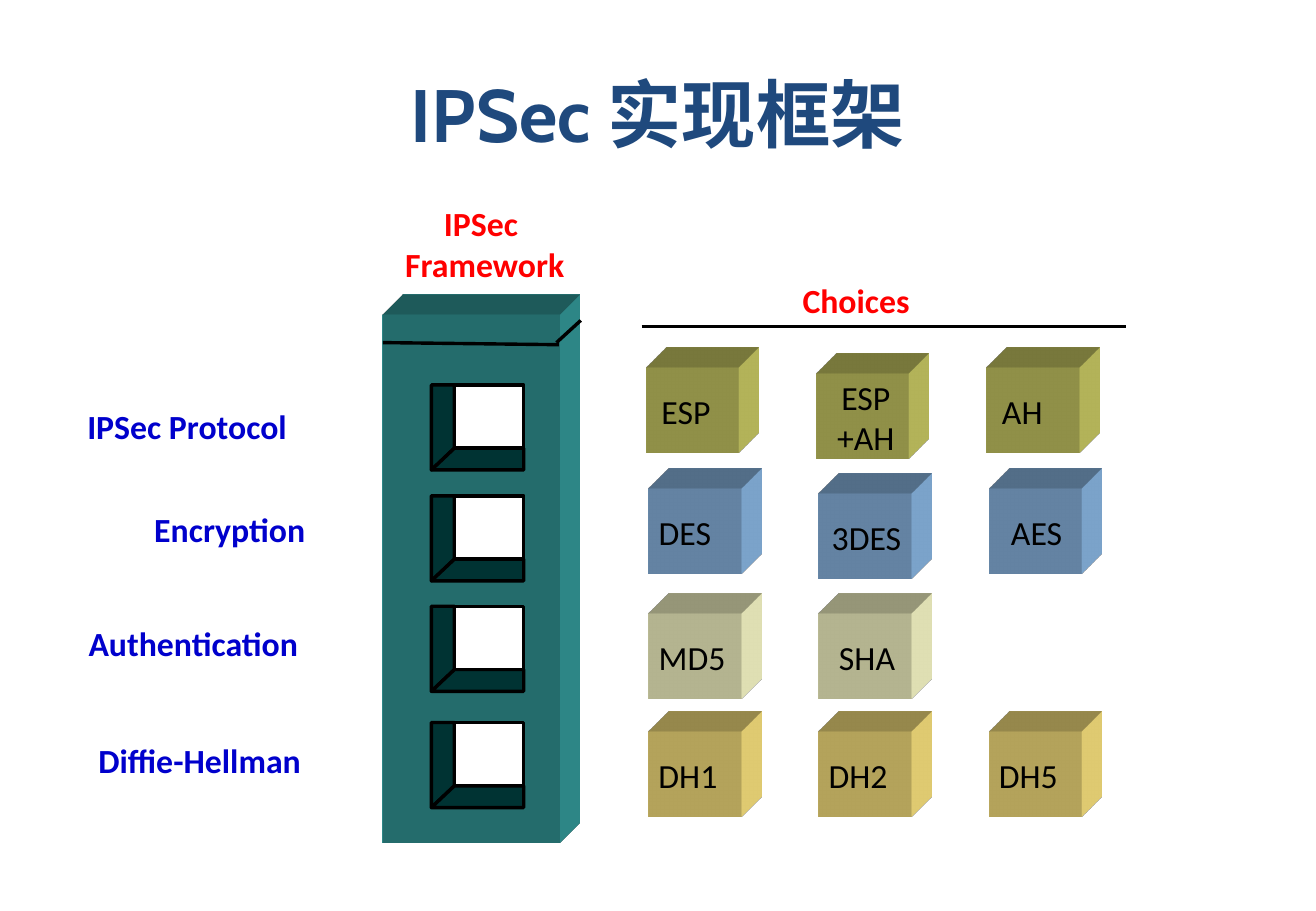
import collections

import lxml.etree
import pptx
import pptx.dml.color
import pptx.enum.shapes
import pptx.enum.text
import pptx.oxml
import pptx.util

RGBColor = pptx.dml.color.RGBColor
Inches = pptx.util.Inches
ALIGN = pptx.enum.text.PP_ALIGN
Box = collections.namedtuple("Box", "left top width height")

NAVY = RGBColor(0x1F, 0x49, 0x7D)
BLUE = RGBColor(0x00, 0x00, 0xCC)
RED = RGBColor(0xFF, 0x00, 0x00)
BLACK = RGBColor(0x00, 0x00, 0x00)
WHITE = RGBColor(0xFF, 0xFF, 0xFF)
TEAL = RGBColor(0x33, 0x99, 0x99)
DARK_TEAL = RGBColor(0x00, 0x33, 0x33)
OLIVE = RGBColor(0xCC, 0xCC, 0x66)
SKY = RGBColor(0x8D, 0xBA, 0xE7)
CREAM = RGBColor(0xFF, 0xFF, 0xCC)
GOLD = RGBColor(0xFF, 0xE7, 0x81)

SLIDE_WIDTH, SLIDE_HEIGHT = 10.83, 7.5
LINE_WIDTH = pptx.util.Pt(2)
DEPTH = Inches(0.47)

FRAMEWORK_LABELS = [
    ("IPSec Protocol", 0, 0, 92.5),
    ("Encryption", 27.4, 26.6, 72.6),
    ("Authentication", 0.5, 55.8, 96.5),
    ("Diffie-Hellman", 4.5, 86.2, 94.5),
]
WINDOW_TOPS = [13.3, 34.3, 55.2, 77.2]
COLUMN_PITCH = 35.1
CHOICE_ROWS = [
    (1, 17.4, OLIVE, [("ESP", 3, 80, 0), ("ESP\n+AH", 9, 89, 1), ("AH", 3, 71, 0)]),
    (1.5, 39.5, SKY, [("DES", -3, 84, 0), ("3DES", 0, 103, 1), ("AES", 10, 83, 0)]),
    (1.5, 62.5, CREAM, [("MD5", -3, 100, 0), ("SHA", 8, 88, 0)]),
    (1.5, 84.2, GOLD, [("DH1", -3, 91, 0), ("DH2", -3, 91, 0), ("DH5", -3, 91, 0)]),
]


def point(box, across, down):
    """Return the place at percentages of a box."""
    return box.left + box.width * across / 100, box.top + box.height * down / 100


def inside(box, across, down, width, height):
    """Return a box given as percentages of another box."""
    return Box(*point(box, across, down), box.width * width / 100, box.height * height / 100)


def paint(shape, fill, line=None):
    """Fill and outline a shape without a shadow."""
    shape.shadow.inherit = False
    shape.fill.solid()
    shape.fill.fore_color.rgb = fill
    if line is None:
        shape.line.fill.background()
    else:
        shape.line.color.rgb = line
        shape.line.width = LINE_WIDTH


def add_rectangle(slide, box, fill, line=None):
    """Draw a rectangle that fills a box and return it."""
    kind = pptx.enum.shapes.MSO_SHAPE.RECTANGLE
    shape = slide.shapes.add_shape(kind, *map(Inches, box))
    paint(shape, fill, line)
    return shape


def add_polygon(slide, points, fill, line):
    """Draw a closed outline through points in inches."""
    corners = [(Inches(across), Inches(down)) for across, down in points]
    builder = slide.shapes.build_freeform(*corners[0])
    builder.add_line_segments(corners[1:], close=True)
    paint(builder.convert_to_shape(), fill, line)


def add_line(slide, start, end):
    """Draw a straight black line."""
    kind = pptx.enum.shapes.MSO_CONNECTOR.STRAIGHT
    connector = slide.shapes.add_connector(kind, *map(Inches, start + end))
    connector.line.color.rgb = BLACK
    connector.line.width = LINE_WIDTH
    lxml.etree.SubElement(connector._element.spPr, pptx.oxml.ns.qn("a:effectLst"))


def add_text(slide, box, text, color, size=20, bold=True, name="Calibri", align=ALIGN.CENTER):
    """Write text in a box, one paragraph for each line."""
    frame = slide.shapes.add_textbox(*map(Inches, box)).text_frame
    frame.text = text
    frame.word_wrap = False
    frame.vertical_anchor = pptx.enum.text.MSO_ANCHOR.MIDDLE
    for paragraph in frame.paragraphs:
        paragraph.alignment = align
        for run in paragraph.runs:
            run.font.name = name
            run.font.size = pptx.util.Pt(size)
            run.font.bold = bold
            run.font.color.rgb = color


def add_block(slide, box, color):
    """Draw a rectangle extruded towards the upper right."""
    properties = add_rectangle(slide, box, color)._element.spPr
    space = pptx.oxml.ns.nsdecls("a")
    scene = (f'<a:scene3d {space}><a:camera prst="legacyObliqueTopRight"/>'
             '<a:lightRig rig="legacyFlat3" dir="b"/></a:scene3d>')
    solid = (f'<a:sp3d {space} extrusionH="{DEPTH}" prstMaterial="legacyMatte">'
             f'<a:extrusionClr><a:srgbClr val="{color}"/></a:extrusionClr></a:sp3d>')
    for markup in (scene, solid):
        properties.append(pptx.oxml.parse_xml(markup))


def add_window(slide, box):
    """Draw an opening with its left and lower inner faces."""
    corner = point(box, 25, 74.4)
    foot = point(box, 0, 100)
    add_polygon(slide, [point(box, 0, 0), foot, corner, point(box, 25, 0)], DARK_TEAL, BLACK)
    add_polygon(slide, [point(box, 100, 100), foot, corner, point(box, 100, 74.4)],
                DARK_TEAL, BLACK)
    add_rectangle(slide, inside(box, 25, 0, 75, 74.4), WHITE, BLACK)


def add_labels(slide, box):
    """Write the names of the framework's parts."""
    for text, across, down, width in FRAMEWORK_LABELS:
        add_text(slide, inside(box, across, down, width, 13.8), text, BLUE, align=ALIGN.LEFT)


def add_tower(slide, box):
    """Draw the framework tower with its caption and windows."""
    add_block(slide, box, TEAL)
    add_text(slide, inside(box, 5.5, -22.3, 104.8, 17.7), "IPSec \nFramework", RED)
    add_line(slide, point(box, 0, 5.3), point(box, 100, 5.7))
    for down in WINDOW_TOPS:
        add_window(slide, inside(box, 27.6, down, 52.4, 16.1))
    add_line(slide, point(box, 98.6, 5.3), point(box, 112.4, 1.1))


def add_choices(slide, box):
    """Draw the heading and the rows of labelled cubes."""
    add_text(slide, inside(box, 30.6, 0, 27.3, 9.8), "Choices", RED)
    add_line(slide, point(box, 0, 9.8), point(box, 100, 9.8))
    for left, down, color, cubes in CHOICE_ROWS:
        for column, (text, shift, width, drop) in enumerate(cubes):
            cube = inside(box, left + column * COLUMN_PITCH, down + drop, 19, 15.6)
            add_block(slide, cube, color)
            height = 110 if "\n" in text else 63
            label = inside(cube, shift, (100 - height) / 2 + 1, width, height)
            add_text(slide, label, text, BLACK, bold=False)


def main():
    """Build the slide and save it."""
    presentation = pptx.Presentation()
    presentation.slide_width = Inches(SLIDE_WIDTH)
    presentation.slide_height = Inches(SLIDE_HEIGHT)
    slide = presentation.slides.add_slide(presentation.slide_layouts[6])
    page = Box(0, 0, SLIDE_WIDTH, SLIDE_HEIGHT)
    add_text(slide, inside(page, 5, 4, 90, 16.7), "IPSec 实现框架", NAVY, 44, name="Cabin")
    add_labels(slide, Box(0.62, 3.29, 2.01, 3.19))
    add_tower(slide, Box(3.15, 2.59, 1.45, 4.35))
    add_choices(slide, Box(5.28, 2.25, 3.99, 4.48))
    presentation.save("out.pptx")


if __name__ == "__main__":
    main()
